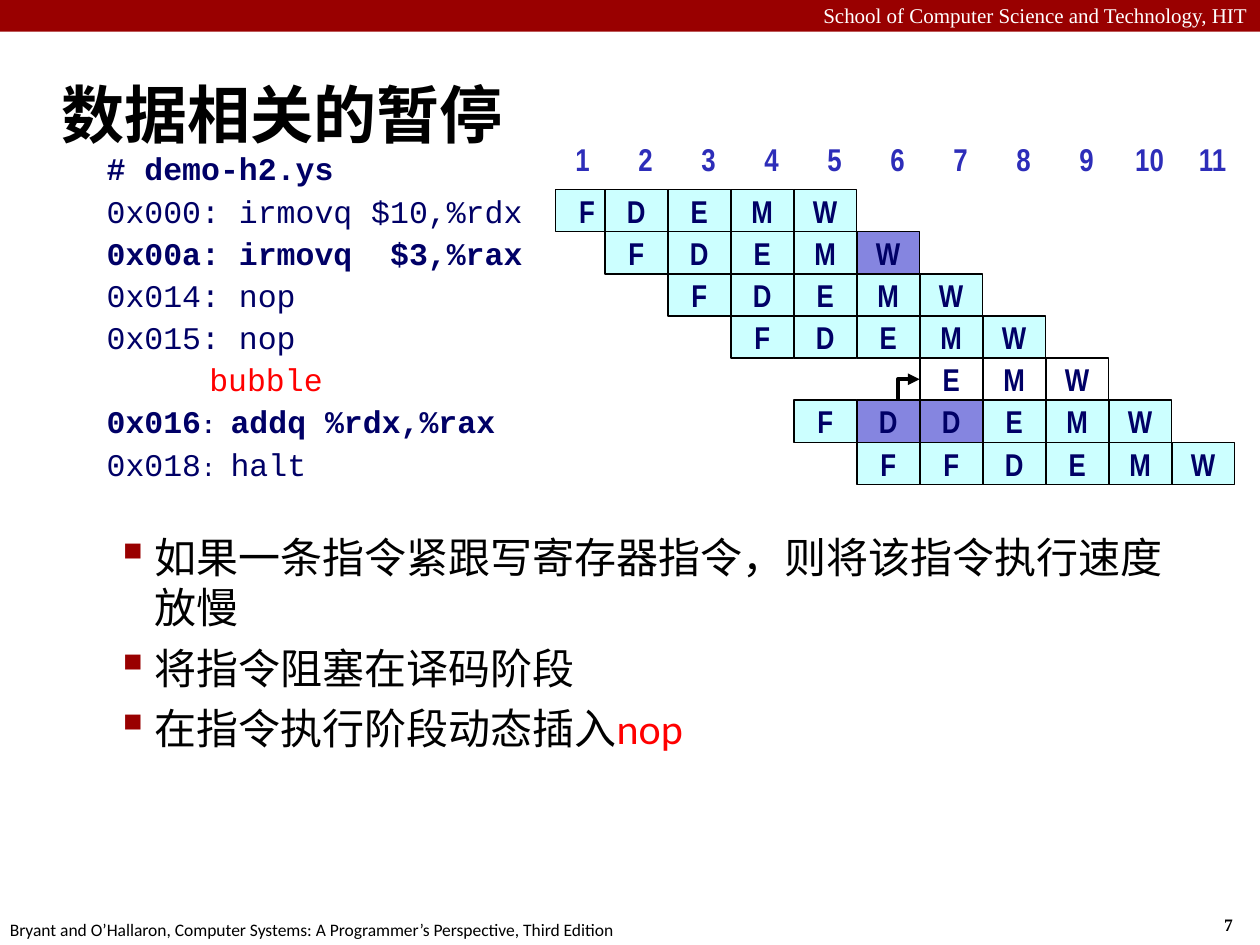
from lxml import etree
from pptx import Presentation
from pptx.dml.color import RGBColor
from pptx.enum.shapes import MSO_SHAPE
from pptx.enum.text import MSO_ANCHOR, PP_ALIGN
from pptx.oxml.ns import qn
from pptx.util import Cm, Pt

RECTANGLE = MSO_SHAPE.RECTANGLE
TOP, MIDDLE = MSO_ANCHOR.TOP, MSO_ANCHOR.MIDDLE
LEFT, CENTER, RIGHT = PP_ALIGN.LEFT, PP_ALIGN.CENTER, PP_ALIGN.RIGHT

COLORS = {
    "banner": "990000", "white": "FFFFFF", "black": "000000", "red": "FF0000",
    "code": "000066", "cycle": "2D2DB9", "stage": "CCFFFF", "shaded": "8585E0",
}
SANS, SERIF, MONO, NARROW = "Calibri", "Times New Roman", "Courier New", "Arial Narrow"
PAGE_WIDTH, PAGE_HEIGHT = 25.4, 19.05
ROW, COLUMN = 0.85, 1.27  # height of a row and width of a clock cycle, in cm

# Each listing line: bold, indent in cm, and runs of (text, size, color)
LISTING = [
    (True, 0, [("# demo-h2.ys", 18, "code")]),
    (False, 0, [("0x000: irmovq $10,%rdx", 18, "code")]),
    (True, 0, [("0x00a: irmovq  $3,%rax", 18, "code")]),
    (False, 0, [("0x014: nop", 18, "code")]),
    (False, 0, [("0x015: nop", 18, "code")]),
    (False, 2.07, [("bubble", 18, "red")]),
    (True, 0, [("0x016", 18, "code"), (": ", 14, "code"), ("addq %rdx,%rax", 18, "code")]),
    (False, 0, [("0x018", 18, "code"), (": ", 14, "code"), ("halt", 18, "code")]),
]
# Each pipeline row: first cycle, stages, shaded cycles, fill
PIPELINE = [
    (1, "FDEMW", (), "stage"),
    (2, "FDEMW", (6,), "stage"),
    (3, "FDEMW", (), "stage"),
    (4, "FDEMW", (), "stage"),
    (7, "EMW", (), None),
    (5, "FDDEMW", (6, 7), "stage"),
    (6, "FFDEMW", (), "stage"),
]
BUBBLE_ROW, STALL_CYCLE = 4, 6
POINTS = [
    [("如果一条指令紧跟写寄存器指令，则将该指令执行速度放慢", "black")],
    [("将指令阻塞在译码阶段", "black")],
    [("在指令执行阶段动态插入", "black"), ("nop", "red")],
]


def color(name):
    return RGBColor.from_string(COLORS[name])


def add_span(para, text, *, size, font, ink="black", bold=False):
    span = para.add_run()
    span.text = text
    span.font.size, span.font.name, span.font.bold = Pt(size), font, bold
    span.font.color.rgb = color(ink)


def add_text(page, box, text="", *, align=LEFT, anchor=TOP, wrap=False, **look):
    """Add a text box; give back its first paragraph and its frame."""
    frame = page.shapes.add_textbox(*map(Cm, box)).text_frame
    frame.word_wrap, frame.vertical_anchor = wrap, anchor
    para = frame.paragraphs[0]
    para.alignment = align
    if text:
        add_span(para, text, **look)
    return para, frame


def add_block(page, box, text="", *, fill=None, outlined=False, align=CENTER, **look):
    """Add a rectangle; give back its paragraph."""
    block = page.shapes.add_shape(RECTANGLE, *map(Cm, box))
    block.shadow.inherit = False
    if fill:
        block.fill.solid()
        block.fill.fore_color.rgb = color(fill)
    else:
        block.fill.background()
    if outlined:
        block.line.color.rgb = color("black")
        block.line.width = Pt(1)
    else:
        block.line.fill.background()
    frame = block.text_frame
    frame.word_wrap, frame.vertical_anchor = False, MIDDLE
    para = frame.paragraphs[0]
    para.alignment = align
    if text:
        add_span(para, text, **look)
    return para


def add_frame(page, box):
    """Banner, footer and page number."""
    left, top, width, height = box
    add_block(page, (left, top, width, 0.64), fill="banner")
    add_text(page, (left, top - 0.08, width, 0.76),
             "School of Computer Science and Technology, HIT",
             align=RIGHT, wrap=True, size=12, font=SERIF, ink="white")
    add_text(page, (left + width - 0.97, top + height - 0.74, 0.94, 0.69), "7",
             size=10, font=SERIF, bold=True)
    add_text(page, (left - 0.05, top + height - 0.64, 12.9, 0.69),
             "Bryant and O’Hallaron, Computer Systems: A Programmer’s Perspective, Third Edition",
             size=10, font=SANS)


def add_points(page, box):
    """Bulleted conclusions."""
    para, frame = add_text(page, box, wrap=True)
    for index, spans in enumerate(POINTS):
        if index:
            para = frame.add_paragraph()
            para.space_before = Pt(5.7)
        properties = para._p.get_or_add_pPr()
        properties.set("marL", str(Cm(2.06)))
        properties.set("indent", str(Cm(-0.79)))
        bullet_color = etree.SubElement(properties, qn("a:buClr"))
        etree.SubElement(bullet_color, qn("a:srgbClr"), val=COLORS["banner"])
        etree.SubElement(properties, qn("a:buSzPct"), val="110000")
        etree.SubElement(properties, qn("a:buChar"), char="▪")
        for text, ink in spans:
            add_span(para, text, size=24, font=SANS, ink=ink)


def add_listing(page, box):
    """Assembly listing, one block per line."""
    left, top, width, _ = box
    for index, (bold, indent, spans) in enumerate(LISTING):
        para = add_block(page, (left, top + index * ROW, width, ROW),
                         fill="white", align=LEFT)
        if indent:
            para._p.get_or_add_pPr().set("marL", str(Cm(indent)))
        for text, size, ink in spans:
            add_span(para, text, size=size, font=MONO, ink=ink, bold=bold)


def add_stall_arrow(page, left, top):
    """Elbow arrow from the stalled decode stage up to the bubble."""
    start_x = left + 0.83
    builder = page.shapes.build_freeform(Cm(start_x), Cm(top + ROW))
    builder.add_line_segments(
        [(Cm(start_x), Cm(top + ROW / 2)), (Cm(left + COLUMN), Cm(top + ROW / 2))],
        close=False)
    arrow = builder.convert_to_shape()
    arrow.shadow.inherit = False
    arrow.fill.background()
    arrow.line.color.rgb = color("black")
    arrow.line.width = Pt(2.25)
    etree.SubElement(arrow.line._get_or_add_ln(), qn("a:tailEnd"), type="triangle")


def add_pipeline(page, box):
    """Cycle numbers above the stages of each instruction."""
    left, top, width, _ = box
    look = {"size": 18, "font": NARROW, "bold": True}
    for index in range(round(width / COLUMN)):
        add_block(page, (left + 0.19 + index * COLUMN, top, COLUMN, ROW), str(index + 1),
                  fill="white", ink="cycle", **look)

    rows_top = top + 1.05
    for row, (first, stages, shaded, fill) in enumerate(PIPELINE):
        for cycle, stage in enumerate(stages, first):
            shift = 0.28 if cycle == 1 else 0  # the first fetch is tucked under decode
            add_block(page, (left + (cycle - 1) * COLUMN + shift, rows_top + row * ROW,
                             COLUMN, ROW), stage,
                      fill="shaded" if cycle in shaded else fill,
                      outlined=True, ink="code", **look)
    add_stall_arrow(page, left + (STALL_CYCLE - 1) * COLUMN, rows_top + BUBBLE_ROW * ROW)


def main():
    deck = Presentation()
    deck.slide_width, deck.slide_height = Cm(PAGE_WIDTH), Cm(PAGE_HEIGHT)
    page = deck.slides.add_slide(deck.slide_layouts[6])
    add_frame(page, (0, 0, PAGE_WIDTH, PAGE_HEIGHT))
    add_text(page, (0.99, 1.22, 24.4, 2.11), "数据相关的暂停",
             anchor=MIDDLE, wrap=True, size=36, font=SANS, bold=True)
    add_points(page, (0.81, 10.59, 23.06, 7.29))
    add_listing(page, (1.9, 2.97, 7.21, 8 * ROW))
    add_pipeline(page, (10.92, 2.77, 11 * COLUMN, 7))
    deck.save("out.pptx")


if __name__ == "__main__":
    main()
